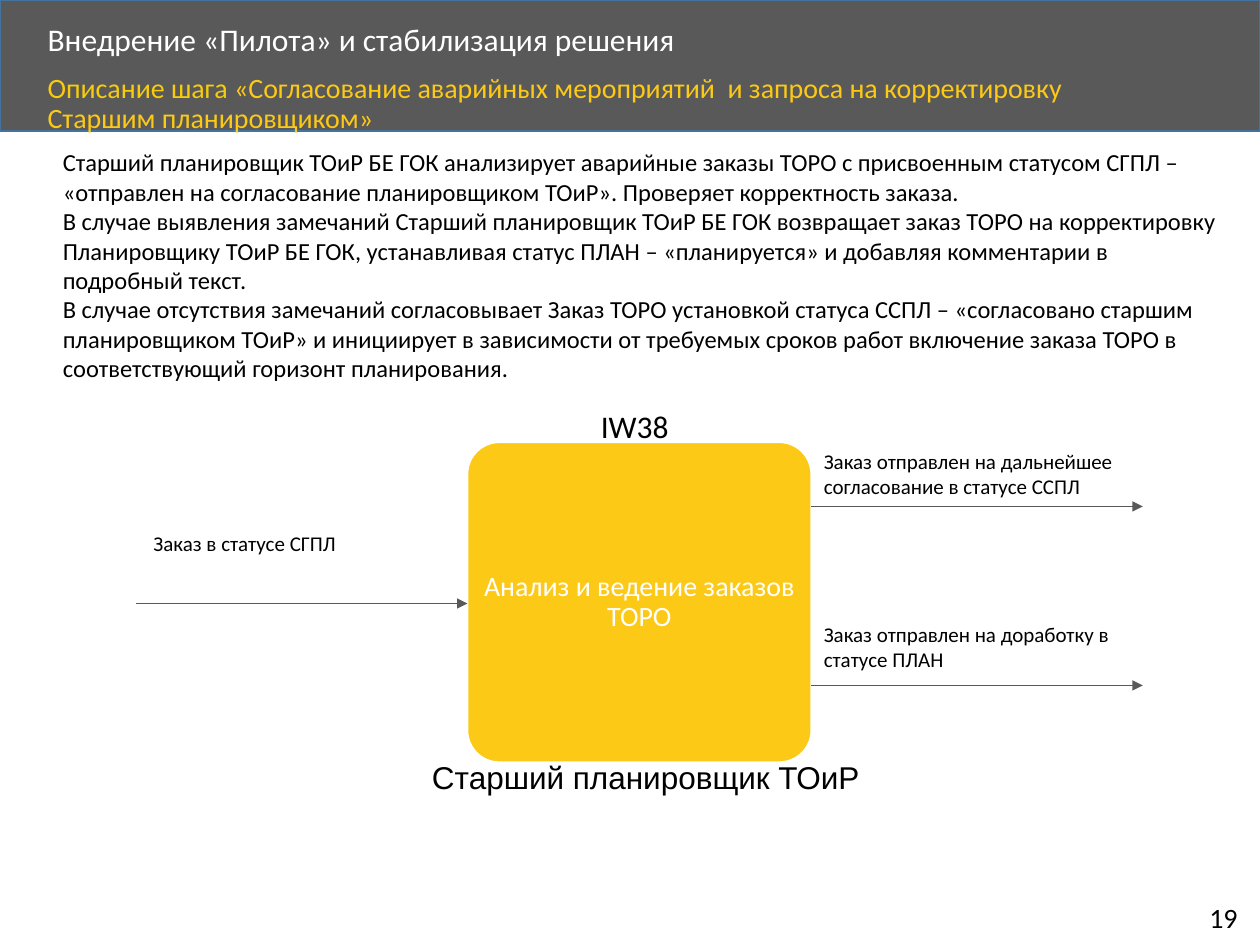
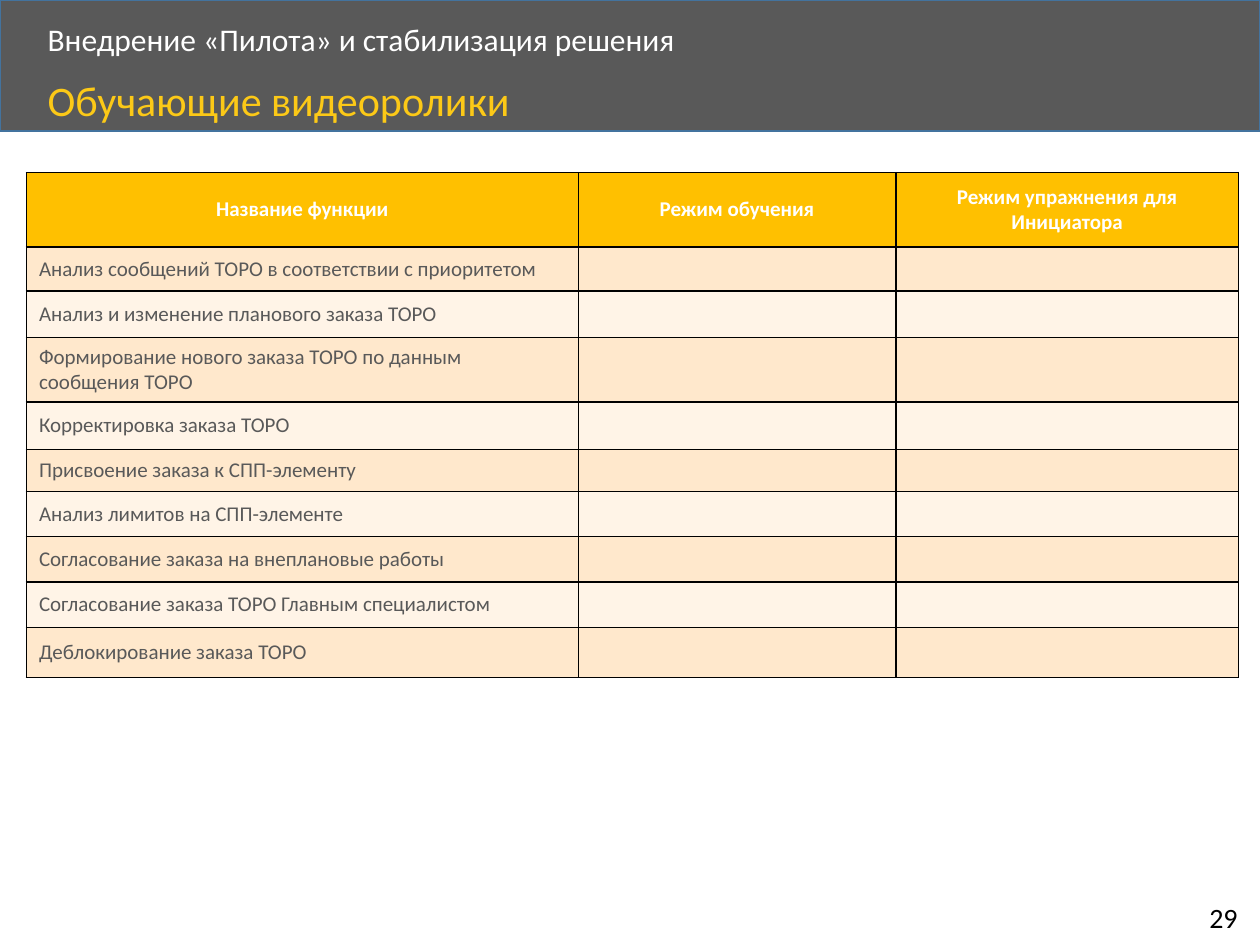
from dataclasses import dataclass

from lxml import etree
from pptx import Presentation
from pptx.dml.color import RGBColor
from pptx.enum import shapes, text
from pptx.oxml import ns
from pptx.util import Inches, Pt


@dataclass(frozen=True)
class Theme:
    """Colours, fonts and type sizes of the deck."""
    font: str = "Calibri"
    role_font: str = "Arial"
    grey: str = "595959"
    band_line: str = "43739E"
    white: str = "FFFFFF"
    black: str = "000000"
    yellow: str = "FCC917"
    lemon: str = "F6CC0C"
    header: str = "FFC000"
    stripes: tuple = ("FFE8CC", "FFF4E7")
    big: int = 24
    title: int = 18
    medium: int = 16
    body: int = 14
    small: int = 12


T = Theme()
LEFT, CENTER = text.PP_ALIGN.LEFT, text.PP_ALIGN.CENTER
TOP, MIDDLE = text.MSO_ANCHOR.TOP, text.MSO_ANCHOR.MIDDLE

DECK_TITLE = "Внедрение «Пилота» и стабилизация решения"
STEP_TITLE = [
    ("Описание шага ", T.lemon),
    ("«Согласование аварийных мероприятий  и запроса на корректировку "
     "Старшим планировщиком»", T.yellow),
]
STEP_NOTES = [
    "Старший планировщик ТОиР БЕ ГОК анализирует аварийные заказы ТОРО с присвоенным "
    "статусом СГПЛ – «отправлен на согласование планировщиком ТОиР». Проверяет "
    "корректность заказа.",
    "В случае выявления замечаний Старший планировщик ТОиР БЕ ГОК возвращает заказ ТОРО "
    "на корректировку Планировщику ТОиР БЕ ГОК, устанавливая статус ПЛАН – «планируется» "
    "и добавляя комментарии в подробный текст.",
    "В случае отсутствия замечаний согласовывает Заказ ТОРО установкой статуса ССПЛ – "
    "«согласовано старшим планировщиком ТОиР» и инициирует в зависимости от требуемых "
    "сроков работ включение заказа ТОРО в соответствующий горизонт планирования.",
]
VIDEO_HEADERS = ["Название функции", "Режим обучения", "Режим упражнения для Инициатора"]
VIDEO_COLS = [4.38, 2.52, 2.72]
HEADER_HEIGHT = 0.59
VIDEO_ROWS = [
    ("Анализ сообщений ТОРО в соответствии с приоритетом", 0.35),
    ("Анализ и изменение планового заказа ТОРО", 0.37),
    ("Формирование нового заказа ТОРО по данным сообщения ТОРО", 0.51),
    ("Корректировка заказа ТОРО", 0.38),
    ("Присвоение заказа к СПП-элементу", 0.33),
    ("Анализ лимитов на СПП-элементе", 0.36),
    ("Согласование заказа на внеплановые работы", 0.36),
    ("Согласование заказа ТОРО Главным специалистом", 0.36),
    ("Деблокирование заказа ТОРО", 0.4),
]


def rgb(color):
    """Turn a hex string into a colour."""
    return RGBColor.from_string(color)


def write(tf, paragraphs, size=T.small, color=T.black, font=T.font, bold=False,
          align=LEFT, spacing=None):
    """Fill a text frame; a paragraph is a string or a list of (text, colour) runs."""
    for i, content in enumerate(paragraphs):
        p = tf.add_paragraph() if i else tf.paragraphs[0]
        p.alignment = align
        if spacing:
            p.line_spacing = spacing
        runs = [(content, color)] if isinstance(content, str) else content
        for words, run_color in runs:
            r = p.add_run()
            r.text = words
            r.font.name, r.font.size, r.font.bold = font, Pt(size), bold
            r.font.color.rgb = rgb(run_color)


def add_text(s, box, *paragraphs, wrap=True, anchor=TOP, **fmt):
    """Add a text box at (left, top, width, height) in inches."""
    tf = s.shapes.add_textbox(*map(Inches, box)).text_frame
    tf.word_wrap, tf.vertical_anchor = wrap, anchor
    write(tf, paragraphs, **fmt)


def add_block(s, kind, box, fill, line):
    """Add a flat filled shape with a thin outline."""
    sp = s.shapes.add_shape(kind, *map(Inches, box))
    sp.shadow.inherit = False
    sp.fill.solid()
    sp.fill.fore_color.rgb = rgb(fill)
    sp.line.color.rgb = rgb(line)
    sp.line.width = Pt(1)
    return sp


def add_arrow(s, x, y, length):
    """Add a thin horizontal arrow pointing right."""
    cx = s.shapes.add_connector(shapes.MSO_CONNECTOR.STRAIGHT, Inches(x), Inches(y),
                                Inches(x + length), Inches(y))
    cx.line.color.rgb = rgb(T.grey)
    cx.line.width = Pt(0.5)
    etree.SubElement(cx.line._get_or_add_ln(), ns.qn("a:tailEnd"), type="triangle")
    etree.SubElement(cx._element.spPr, ns.qn("a:effectLst"))


def add_frame(prs, number, subtitle, subtitle_top, subtitle_size):
    """Start a slide with the title band, subtitle and page number."""
    s = prs.slides.add_slide(prs.slide_layouts[6])
    add_block(s, shapes.MSO_SHAPE.RECTANGLE, (0, 0, 10, 1.04), T.grey, T.band_line)
    add_text(s, (0.28, 0.14, 8.07, 0.38), DECK_TITLE, anchor=MIDDLE, size=T.title,
             color=T.white, spacing=0.9)
    add_text(s, (9.5, 7.1, 0.46, 0.37), number, wrap=False, size=T.medium)
    add_text(s, (0.28, subtitle_top, 8.66, 0.45), subtitle, size=subtitle_size,
             color=T.yellow, spacing=0.9)
    return s


def add_step_diagram(s, box):
    """Draw the process step with its input on the left and outputs on the right."""
    x, y, w, h = box
    arrow = 2.63
    sp = add_block(s, shapes.MSO_SHAPE.ROUNDED_RECTANGLE, box, T.yellow, T.white)
    sp.adjustments[0] = 0.1
    tf = sp.text_frame
    tf.word_wrap, tf.vertical_anchor = True, MIDDLE
    tf.margin_left = tf.margin_right = tf.margin_top = tf.margin_bottom = Inches(0.01)
    write(tf, ["Анализ и ведение заказов ТОРО"], size=T.medium, color=T.white,
          align=CENTER, spacing=0.9)

    add_text(s, (x + 0.96, y - 0.33, 0.75, 0.4), "IW38", wrap=False, size=T.title)
    add_text(s, (x - 0.38, y + h - 0.08, 3.62, 0.4), "Старший планировщик ТОиР",
             size=T.title, font=T.role_font)

    add_arrow(s, x - arrow, y + 1.28, arrow)
    add_text(s, (x - 2.59, y + 0.65, 2.56, 0.3), "Заказ в статусе СГПЛ")
    outputs = [
        ("Заказ отправлен на дальнейшее согласование в статусе ССПЛ", 0, 0.51),
        ("Заказ отправлен на доработку в статусе ПЛАН", 1.37, 1.93),
    ]
    for label, label_dy, arrow_dy in outputs:
        add_text(s, (x + w, y + label_dy, 2.57, 0.5), label)
        add_arrow(s, x + w, y + arrow_dy, arrow)


def set_borders(cell):
    """Give a cell thin black borders on all sides."""
    tc_pr = cell._tc.get_or_add_tcPr()
    for i, side in enumerate(("lnL", "lnR", "lnT", "lnB")):
        ln = etree.Element(ns.qn(f"a:{side}"), w=str(Pt(1)))
        fill = etree.SubElement(ln, ns.qn("a:solidFill"))
        etree.SubElement(fill, ns.qn("a:srgbClr"), val=T.black)
        tc_pr.insert(i, ln)


def style_cell(cell, words, fill, **fmt):
    """Fill, border and write one table cell."""
    cell.fill.solid()
    cell.fill.fore_color.rgb = rgb(fill)
    set_borders(cell)
    cell.vertical_anchor = MIDDLE
    if words:
        write(cell.text_frame, [words], **fmt)
    else:
        p = cell.text_frame.paragraphs[0]
        etree.SubElement(p._p, ns.qn("a:endParaRPr"), sz=str(T.small * 100))


def add_video_table(s, left, top):
    """Draw the table of training videos with striped rows."""
    heights = [HEADER_HEIGHT] + [height for _, height in VIDEO_ROWS]
    table = s.shapes.add_table(len(heights), len(VIDEO_COLS), Inches(left), Inches(top),
                               Inches(sum(VIDEO_COLS)), Inches(sum(heights))).table
    for col, width in zip(table.columns, VIDEO_COLS):
        col.width = Inches(width)
    for row, height in zip(table.rows, heights):
        row.height = Inches(height)
    for c, header in enumerate(VIDEO_HEADERS):
        style_cell(table.cell(0, c), header, T.header, color=T.white, bold=True,
                   align=CENTER)
    for i, (name, _) in enumerate(VIDEO_ROWS):
        for c, words in enumerate((name, "", "")):
            style_cell(table.cell(i + 1, c), words, T.stripes[i % 2], color=T.grey)


def build_step_slide(prs):
    """Build the slide describing the approval step."""
    s = add_frame(prs, "19", STEP_TITLE, 0.54, T.medium)
    add_text(s, (0.4, 1.12, 9.46, 2.22), *STEP_NOTES, size=T.body)
    add_step_diagram(s, (3.71, 3.51, 2.73, 2.54))


def build_video_slide(prs):
    """Build the slide listing the training videos."""
    s = add_frame(prs, "29", "Обучающие видеоролики", 0.59, T.big)
    add_video_table(s, 0.21, 1.37)


def main():
    """Build and save the deck."""
    prs = Presentation()
    prs.slide_width, prs.slide_height = Inches(10), Inches(7.5)
    build_step_slide(prs)
    build_video_slide(prs)
    prs.save("out.pptx")


if __name__ == "__main__":
    main()
